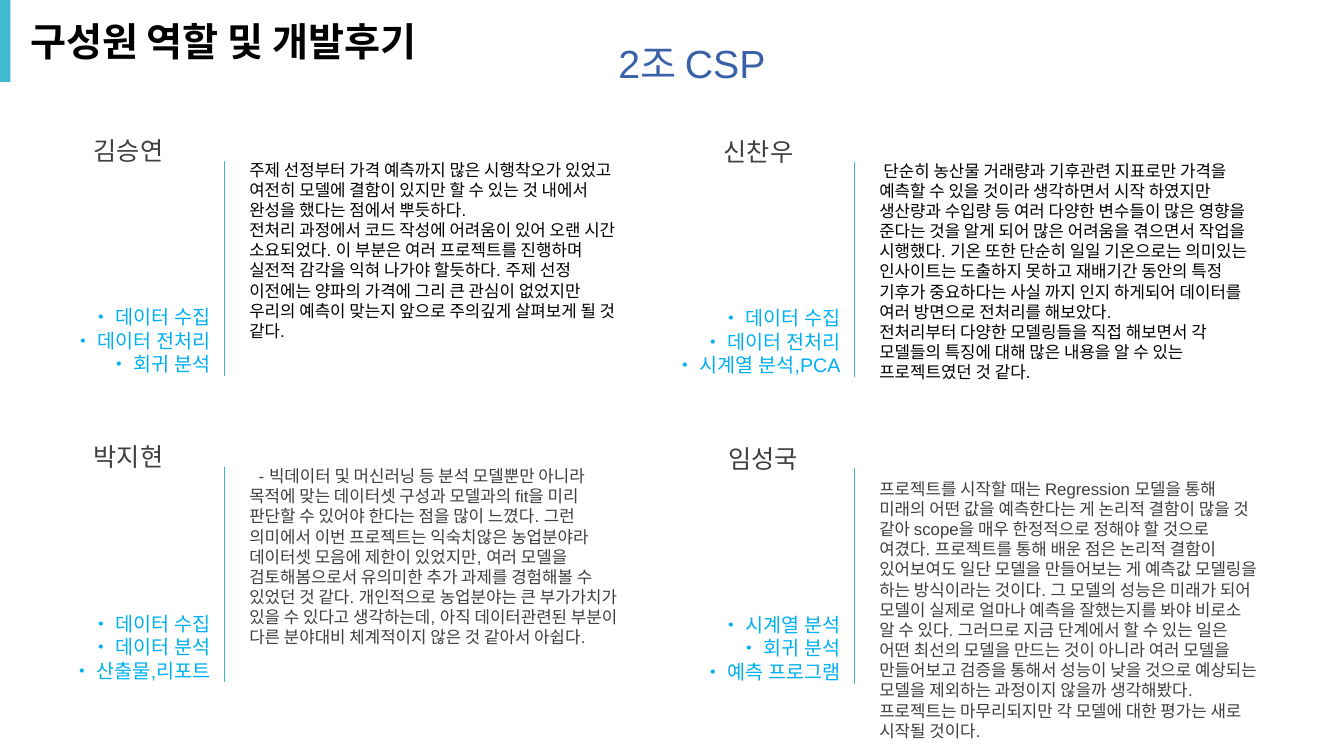
import pptx
import pptx.util
import pptx.dml.color
import pptx.enum.shapes
import pptx.enum.text
import pptx.oxml.ns
import lxml.etree
from dataclasses import dataclass

ALIGN = pptx.enum.text.PP_ALIGN
ANCHOR = pptx.enum.text.MSO_ANCHOR
SHAPE = pptx.enum.shapes.MSO_SHAPE
PX = 9525  # 96 px to the inch


@dataclass(frozen=True)
class Theme:
    font: str = "Arial"
    black: str = "000000"
    gray: str = "3F3F3F"
    white: str = "FFFFFF"
    bar: str = "40BAD2"
    rule: str = "3AB7D0"
    role: str = "00B0F0"
    team: str = "3A61A7"
    head: int = 28
    name: int = 18
    item: int = 14
    body: int = 12


def px(*nums):
    return [pptx.util.Emu(n * PX) for n in nums]


def rgb(code):
    return pptx.dml.color.RGBColor.from_string(code)


class Page:
    def __init__(self, deck, theme):
        self.theme = theme
        self.slide = deck.slides.add_slide(deck.slide_layouts[5])
        self.shapes = self.slide.shapes

    def style(self, shape, lines, size, color, align=ALIGN.LEFT,
              anchor=ANCHOR.TOP, bold=False):
        frame = shape.text_frame
        frame.word_wrap = True
        frame.vertical_anchor = anchor
        frame.text = "\n".join(lines)
        for para in frame.paragraphs:
            para.alignment = align
            for run in para.runs:
                font = run.font
                font.name, font.bold = self.theme.font, bold
                font.size = pptx.util.Pt(size)
                font.color.rgb = rgb(color)
        return frame

    def title(self, box, text):
        shape = self.shapes.title
        shape.left, shape.top, shape.width, shape.height = px(*box)
        self.style(shape, [text], self.theme.head, self.theme.black, bold=True)

    def text(self, box, lines, size, color, **opts):
        shape = self.shapes.add_textbox(*px(*box))
        return self.style(shape, lines, size, color, **opts)

    def block(self, box, color, kind=SHAPE.RECTANGLE):
        shape = self.shapes.add_shape(kind, *px(*box))
        shape.shadow.inherit = False
        shape.fill.solid()
        shape.fill.fore_color.rgb = rgb(color)
        shape.line.fill.background()
        return shape

    def rule(self, x, top, end):
        line = self.shapes.add_connector(
            pptx.enum.shapes.MSO_CONNECTOR.STRAIGHT, *px(x, top, x, end))
        line.line.color.rgb = rgb(self.theme.rule)
        line.line.width = pptx.util.Pt(0.75)
        props = line._element.spPr
        lxml.etree.SubElement(props, pptx.oxml.ns.qn("a:effectLst"))

    def card(self, x, y, member):
        look = self.theme
        panel = self.block((x, y, 593, 278), look.white, SHAPE.ROUNDED_RECTANGLE)
        panel.adjustments[0] = 0.08
        self.text((x + 27, y + 16, member.wide, 38), [member.name],
                  look.name, look.gray, align=ALIGN.CENTER)
        self.rule(x + 168, y + 45, y + 250)
        self.text((x - 21, y + 178, 185, 78), [f"• {r}" for r in member.roles],
                  look.item, look.role, align=ALIGN.RIGHT)
        frame = self.text((x + 182, y + 39, 379, member.tall), member.body,
                          look.body, member.color, anchor=member.anchor)
        first = frame.paragraphs[0]
        if member.indent:
            first._p.get_or_add_pPr().set("indent", str(member.indent * PX))
        if member.space:
            first.space_before = pptx.util.Pt(member.space)


@dataclass
class Member:
    name: str
    roles: list
    body: list
    tall: int
    color: str
    wide: int = 99
    indent: int = 0
    space: int = 0
    anchor: object = ANCHOR.TOP


theme = Theme()

MEMBERS = [
    Member("김승연", ["데이터 수집", "데이터 전처리", "회귀 분석"], [
        "주제 선정부터 가격 예측까지 많은 시행착오가 있었고 여전히 모델에 결함이 있지만 "
        "할 수 있는 것 내에서 완성을 했다는 점에서 뿌듯하다.",
        "전처리 과정에서 코드 작성에 어려움이 있어 오랜 시간 소요되었다. 이 부분은 여러 "
        "프로젝트를 진행하며 실전적 감각을 익혀 나가야 할듯하다. 주제 선정 이전에는 양파의 "
        "가격에 그리 큰 관심이 없었지만 우리의 예측이 맞는지 앞으로 주의깊게 살펴보게 될 것 "
        "같다."], 184, theme.black),
    Member("신찬우", ["데이터 수집", "데이터 전처리", "시계열 분석,PCA"], [
        "단순히 농산물 거래량과 기후관련 지표로만 가격을 예측할 수 있을 것이라 생각하면서 "
        "시작 하였지만 생산량과 수입량 등 여러 다양한 변수들이 많은 영향을 준다는 것을 알게 "
        "되어 많은 어려움을 겪으면서 작업을 시행했다. 기온 또한 단순히 일일 기온으로는 "
        "의미있는 인사이트는 도출하지 못하고 재배기간 동안의 특정 기후가 중요하다는 사실 까지 "
        "인지 하게되어 데이터를 여러 방면으로 전처리를 해보았다.",
        "전처리부터 다양한 모델링들을 직접 해보면서 각 모델들의 특징에 대해 많은 내용을 알 수 "
        "있는 프로젝트였던 것 같다."], 242, theme.black, indent=4),
    Member("박지현", ["데이터 수집", "데이터 분석", "산출물,리포트"], [
        "- 빅데이터 및 머신러닝 등 분석 모델뿐만 아니라 목적에 맞는 데이터셋 구성과 모델과의 "
        "fit을 미리 판단할 수 있어야 한다는 점을 많이 느꼈다. 그런 의미에서 이번 프로젝트는 "
        "익숙치않은 농업분야라 데이터셋 모음에 제한이 있었지만, 여러 모델을 검토해봄으로서 "
        "유의미한 추가 과제를 경험해볼 수 있었던 것 같다. 개인적으로 농업분야는 큰 부가가치가 "
        "있을 수 있다고 생각하는데, 아직 데이터관련된 부분이 다른 분야대비 체계적이지 않은 것 "
        "같아서 아쉽다."], 204, theme.gray, indent=9),
    Member("임성국", ["시계열 분석", "회귀 분석", "예측 프로그램"], [
        "프로젝트를 시작할 때는 Regression 모델을 통해 미래의 어떤 값을 예측한다는 게 논리적 "
        "결함이 많을 것 같아 scope을 매우 한정적으로 정해야 할 것으로 여겼다. 프로젝트를 통해 "
        "배운 점은 논리적 결함이 있어보여도 일단 모델을 만들어보는 게 예측값 모델링을 하는 "
        "방식이라는 것이다. 그 모델의 성능은 미래가 되어 모델이 실제로 얼마나 예측을 "
        "잘했는지를 봐야 비로소 알 수 있다. 그러므로 지금 단계에서 할 수 있는 일은 어떤 최선의 "
        "모델을 만드는 것이 아니라 여러 모델을 만들어보고 검증을 통해서 성능이 낮을 것으로 "
        "예상되는 모델을 제외하는 과정이지 않을까 생각해봤다. 프로젝트는 마무리되지만 각 모델에 "
        "대한 평가는 새로 시작될 것이다."], 281, theme.gray, wide=108, space=14,
        anchor=ANCHOR.MIDDLE),
]


def main():
    deck = pptx.Presentation()
    deck.slide_width, deck.slide_height = px(1280, 720)
    page = Page(deck, theme)

    # Heading
    page.block((0, 0, 10, 78), theme.bar)
    page.title((19, 12, 468, 55), "구성원 역할 및 개발후기")

    # Member cards, two by two
    for i, member in enumerate(MEMBERS):
        row, col = divmod(i, 2)
        page.card(46 + 600 * col, 108 + 292 * row + col, member)

    # Team name
    page.text((532, 33, 254, 55), ["2조 CSP"], theme.head, theme.team,
              align=ALIGN.CENTER)
    deck.save("out.pptx")


if __name__ == "__main__":
    main()
